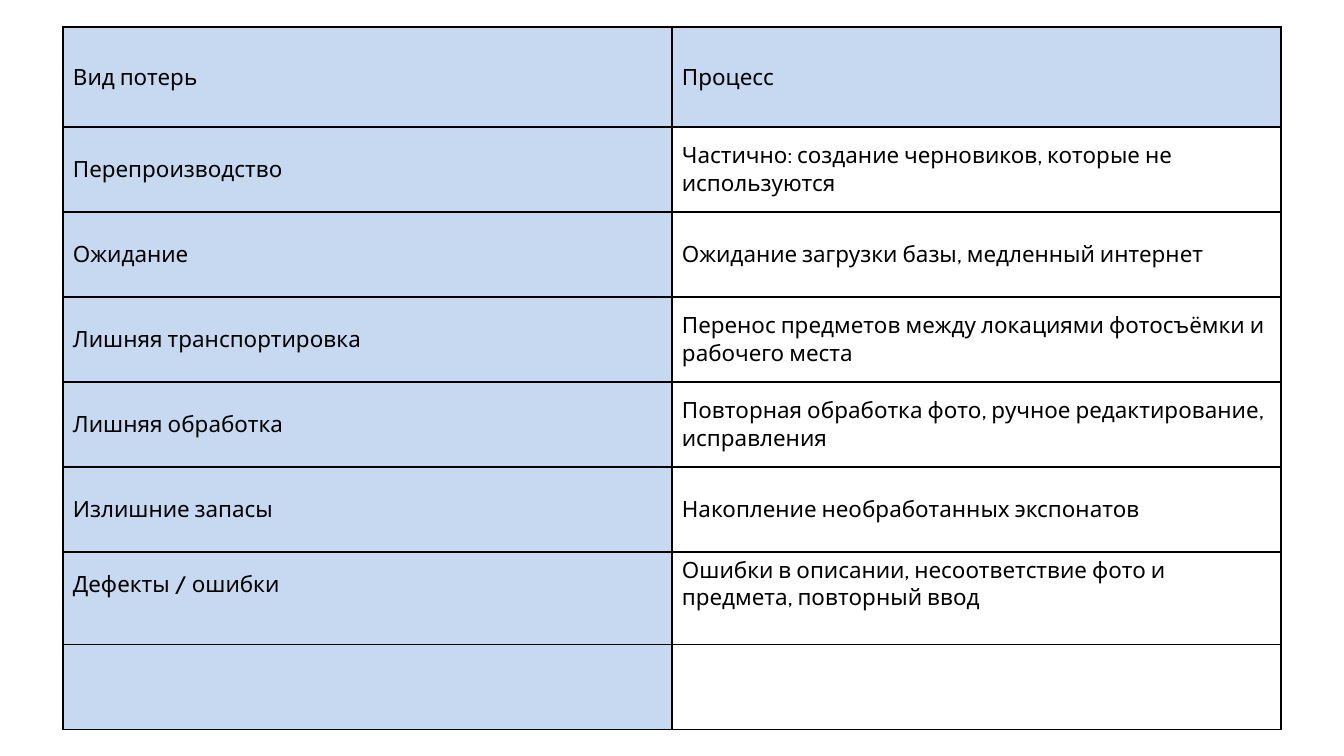
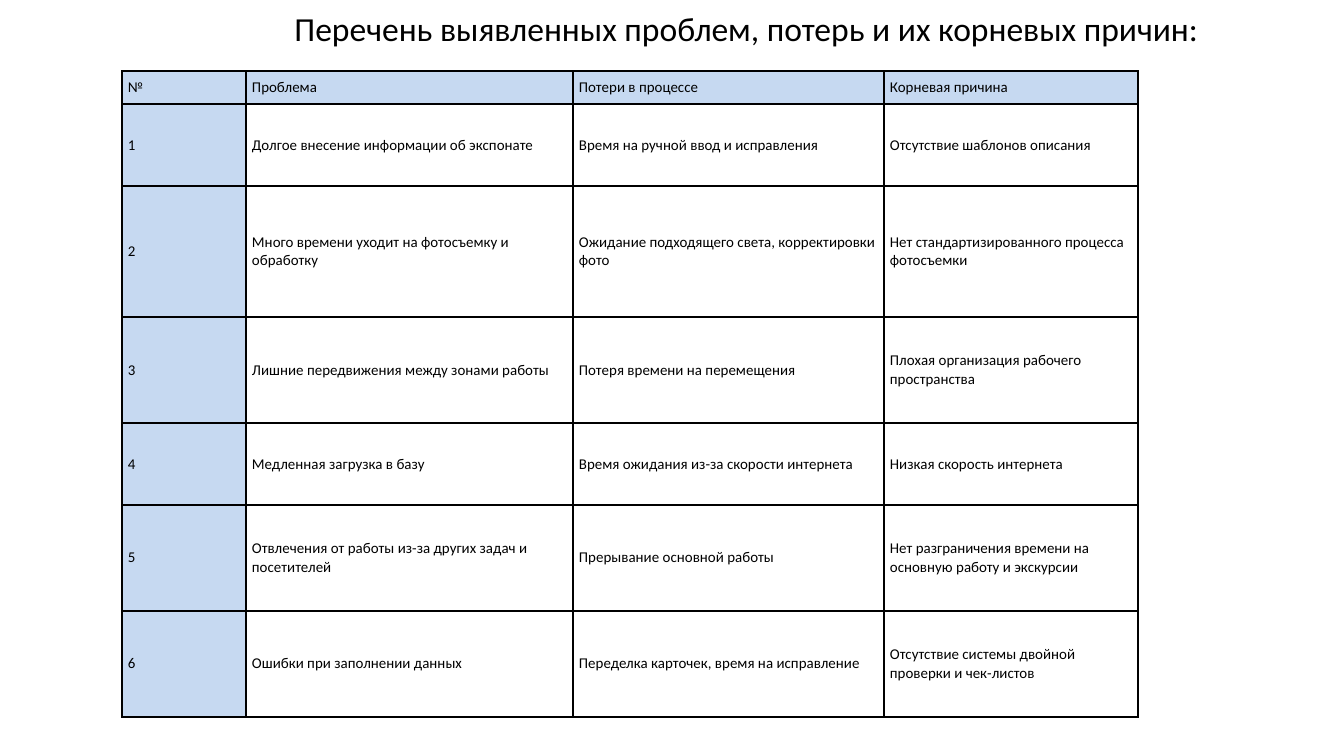
from dataclasses import dataclass

from lxml.etree import SubElement
from pptx import Presentation
from pptx.dml.color import RGBColor
from pptx.enum.text import MSO_ANCHOR, PP_ALIGN
from pptx.oxml.ns import qn
from pptx.util import Pt


@dataclass(frozen=True)
class Theme:
    ink: str = "000000"
    header: str = "C6D9F1"
    border_pt: int = 1
    title_font: str = "Calibri"
    title_pt: int = 18


@dataclass(frozen=True)
class TableStyle:
    font: str
    size: int
    inset_x: int
    inset_y: int


THEME = Theme()
LOSSES_STYLE = TableStyle("Cabin", 12, 10, 5)
CAUSES_STYLE = TableStyle("Calibri", 8, 6, 3)

LOSSES = [
    ("Вид потерь", "Процесс"),
    ("Перепроизводство", "Частично: создание черновиков, которые не используются"),
    ("Ожидание", "Ожидание загрузки базы, медленный интернет"),
    ("Лишняя транспортировка",
     "Перенос предметов между локациями фотосъёмки и рабочего места"),
    ("Лишняя обработка",
     "Повторная обработка фото, ручное редактирование, исправления"),
    ("Излишние запасы", "Накопление необработанных экспонатов"),
    ("Дефекты / ошибки",
     "Ошибки в описании, несоответствие фото и предмета, повторный ввод"),
    ("", ""),
]

CAUSES_HEADER = ("№", "Проблема", "Потери в процессе", "Корневая причина")
CAUSES = [
    ("Долгое внесение информации об экспонате",
     "Время на ручной ввод и исправления",
     "Отсутствие шаблонов описания"),
    ("Много времени уходит на фотосъемку и обработку",
     "Ожидание подходящего света, корректировки фото",
     "Нет стандартизированного процесса фотосъемки"),
    ("Лишние передвижения между зонами работы",
     "Потеря времени на перемещения",
     "Плохая организация рабочего пространства"),
    ("Медленная загрузка в базу",
     "Время ожидания из-за скорости интернета",
     "Низкая скорость интернета"),
    ("Отвлечения от работы из-за других задач и посетителей",
     "Прерывание основной работы",
     "Нет разграничения времени на основную работу и экскурсии"),
    ("Ошибки при заполнении данных",
     "Переделка карточек, время на исправление",
     "Отсутствие системы двойной проверки и чек-листов"),
]


def px(n):
    """Pixels (134.4 to the inch) to EMU."""
    return round(n * 914400 / 134.4)


def add_run(p, text, font, size):
    r = p.add_run()
    r.text = text
    r.font.name = font
    r.font.size = Pt(size)
    r.font.bold = False
    r.font.color.rgb = RGBColor.from_string(THEME.ink)


def set_borders(cell):
    tc_pr = cell._tc.get_or_add_tcPr()
    for side in ("lnL", "lnR", "lnT", "lnB"):
        ln = SubElement(tc_pr, qn(f"a:{side}"), w=str(Pt(THEME.border_pt)))
        fill = SubElement(ln, qn("a:solidFill"))
        SubElement(fill, qn("a:srgbClr"), val=THEME.ink)


def format_cell(cell, text, style, shaded):
    set_borders(cell)
    if shaded:
        cell.fill.solid()
        cell.fill.fore_color.rgb = RGBColor.from_string(THEME.header)
    else:
        cell.fill.background()
    cell.vertical_anchor = MSO_ANCHOR.MIDDLE
    cell.margin_left = cell.margin_right = px(style.inset_x)
    cell.margin_top = cell.margin_bottom = px(style.inset_y)
    if text:
        add_run(cell.text_frame.paragraphs[0], text, style.font, style.size)


def add_grid(s, left, top, cols, rows, data, style):
    """Table with a shaded first row and first column."""
    frame = s.shapes.add_table(len(rows), len(cols), px(left), px(top),
                               px(sum(cols)), px(sum(rows)))
    table = frame.table
    table.horz_banding = False
    for column, width in zip(table.columns, cols):
        column.width = px(width)
    for i, (height, texts) in enumerate(zip(rows, data)):
        table.rows[i].height = px(height)
        for j, text in enumerate(texts):
            format_cell(table.cell(i, j), text, style, i == 0 or j == 0)
    return table


def set_title(s, text, left, top, width, height):
    sp = s.shapes.title
    sp.left, sp.top, sp.width, sp.height = map(px, (left, top, width, height))
    tf = sp.text_frame
    tf.word_wrap = True
    tf.vertical_anchor = MSO_ANCHOR.TOP
    p = tf.paragraphs[0]
    p.alignment = PP_ALIGN.LEFT
    add_run(p, text, THEME.title_font, THEME.title_pt)


def build_losses(prs):
    s = prs.slides.add_slide(prs.slide_layouts[6])
    rows = [100] + [85] * 5 + [92, 85]
    table = add_grid(s, 63, 27, [609, 609], rows, LOSSES, LOSSES_STYLE)
    # The defects row keeps its text one line above the bottom
    for cell in table.rows[6].cells:
        cell.margin_bottom = px(33)


def build_causes(prs):
    s = prs.slides.add_slide(prs.slide_layouts[5])
    set_title(s, "Перечень выявленных проблем, потерь и их корневых причин:",
              281, 1, 995, 54)
    data = [CAUSES_HEADER]
    data += [(str(n), *row) for n, row in enumerate(CAUSES, 1)]
    add_grid(s, 122, 71, [124, 327, 311, 254],
             [33, 82, 131, 106, 82, 106, 106], data, CAUSES_STYLE)


def main():
    prs = Presentation()
    prs.slide_width, prs.slide_height = px(1344), px(756)
    build_losses(prs)
    build_causes(prs)
    prs.save("out.pptx")


if __name__ == "__main__":
    main()
